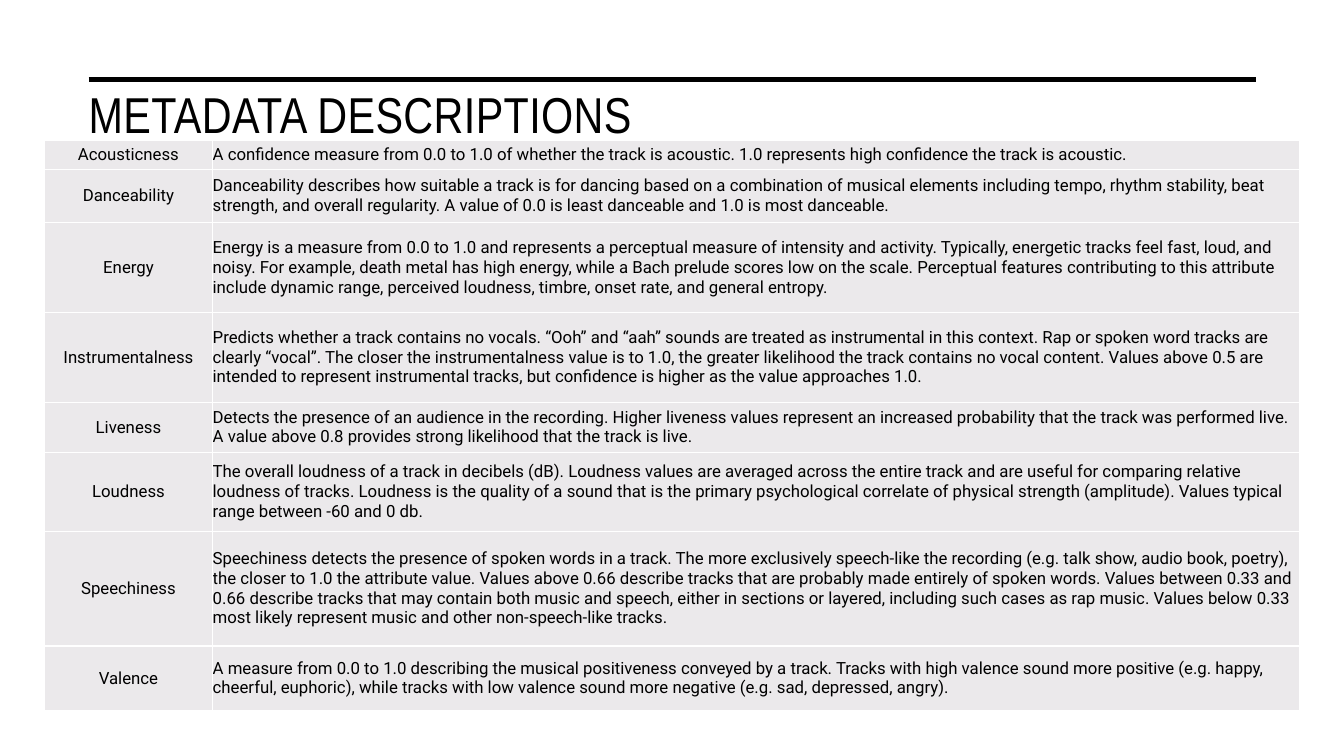
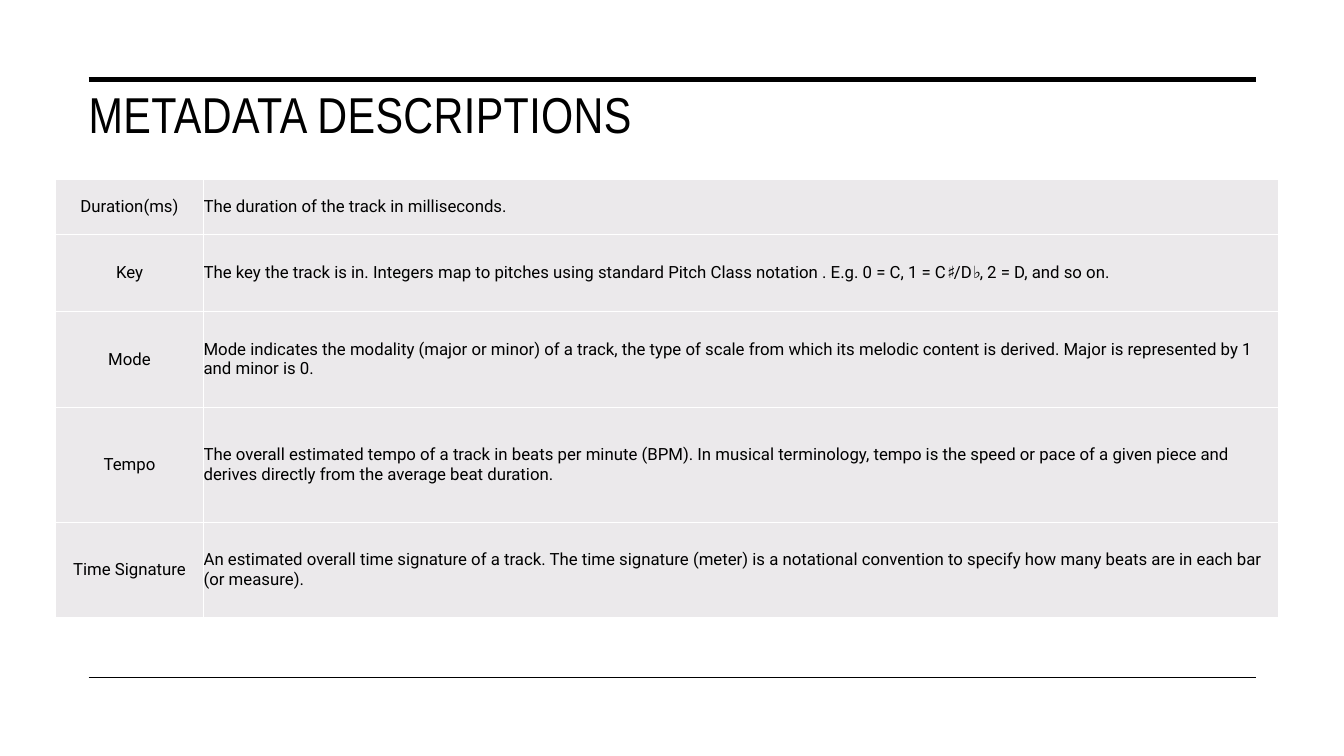
import dataclasses

import lxml.etree
import pptx
import pptx.dml.color
import pptx.enum.shapes
import pptx.enum.text
import pptx.oxml
import pptx.oxml.ns
import pptx.util

ALIGN = pptx.enum.text.PP_ALIGN
ANCHOR = pptx.enum.text.MSO_ANCHOR
QN = pptx.oxml.ns.qn


@dataclasses.dataclass(frozen=True)
class Theme:
    ink: str = "000000"
    cell: str = "EBE9EB"
    border: str = "FFFFFF"
    title_font: str = "Arial Narrow"
    title_size: float = 36
    title_spacing: float = 0.3
    body_font: str = "Roboto"
    body_size: float = 12
    top_rule: float = 3.5
    bottom_rule: float = 1
    border_width: float = 1


def colour(value):
    return pptx.dml.color.RGBColor.from_string(value)


def apply_formats(target, formats):
    for name, value in formats.items():
        setattr(target, name, value)


class Deck:
    """Holds the theme and the current page; lengths are steps of a 0.1 inch grid."""

    STEP = pptx.util.Inches(0.1)
    COLUMNS, ROWS = 133.33, 75
    LEFT, RIGHT = 8.8, 124.6
    RULE_TOP, RULE_BOTTOM = 7.9, 67.2

    def __init__(self, theme):
        self.theme = theme
        self.deck = pptx.Presentation()
        apply_formats(self.deck, {"slide_width": self.grid(self.COLUMNS),
                                  "slide_height": self.grid(self.ROWS)})
        self.page = None

    def grid(self, steps):
        return pptx.util.Emu(round(steps * self.STEP))

    def new_page(self, title):
        self.page = self.deck.slides.add_slide(self.deck.slide_layouts[6])
        self.rule(self.RULE_TOP, self.theme.top_rule)
        self.rule(self.RULE_BOTTOM, self.theme.bottom_rule)
        self.title(title)

    def rule(self, row, width):
        """Draws a horizontal line between the page margins."""
        y = self.grid(row)
        line = self.page.shapes.add_connector(
            pptx.enum.shapes.MSO_CONNECTOR.STRAIGHT,
            self.grid(self.LEFT), y, self.grid(self.RIGHT), y)
        line.line.color.rgb = colour(self.theme.ink)
        line.line.width = pptx.util.Pt(width)
        lxml.etree.SubElement(line._element.spPr, QN("a:effectLst"))

    def add_text(self, frame, text, font, size, align=ALIGN.LEFT):
        para = frame.paragraphs[0]
        para.alignment = align
        span = para.add_run()
        span.text = text
        apply_formats(span.font, {"name": font, "size": pptx.util.Pt(size)})
        span.font.color.rgb = colour(self.theme.ink)
        return span

    def title(self, text):
        box = self.page.shapes.add_textbox(
            *map(self.grid, (7.8, 7.8, 116.8, 6.2)))
        apply_formats(box.text_frame,
                      {"word_wrap": True, "vertical_anchor": ANCHOR.TOP})
        span = self.add_text(box.text_frame, text,
                             self.theme.title_font, self.theme.title_size)
        span.font._element.set("spc", str(round(self.theme.title_spacing * 100)))

    def table(self, left, top, widths, entries):
        """Draws (row height, term, description) entries as a two-column table."""
        heights = [height for height, _, _ in entries]
        table = self.page.shapes.add_table(
            len(entries), len(widths), self.grid(left), self.grid(top),
            self.grid(sum(widths)), self.grid(sum(heights))).table
        apply_formats(table, {"first_row": False, "horz_banding": False})
        for column, width in zip(table.columns, widths):
            column.width = self.grid(width)
        for row, (height, term, description) in zip(table.rows, entries):
            row.height = self.grid(height)
            self.cell(row.cells[0], term, ALIGN.CENTER)
            self.cell(row.cells[1], description, ALIGN.LEFT)

    def cell(self, cell, text, align):
        apply_formats(cell, {"margin_left": 0, "margin_right": 0, "margin_top": 0,
                             "margin_bottom": 0, "vertical_anchor": ANCHOR.MIDDLE})
        self.add_text(cell.text_frame, text,
                      self.theme.body_font, self.theme.body_size, align)
        self.borders(cell)
        cell.fill.solid()
        cell.fill.fore_color.rgb = colour(self.theme.cell)

    def borders(self, cell):
        properties = cell._tc.get_or_add_tcPr()
        width = str(pptx.util.Pt(self.theme.border_width))
        for side in ("a:lnL", "a:lnR", "a:lnT", "a:lnB"):
            line = lxml.etree.SubElement(properties, QN(side), w=width)
            fill = lxml.etree.SubElement(line, QN("a:solidFill"))
            lxml.etree.SubElement(fill, QN("a:srgbClr"), val=self.theme.border)


TITLE = "METADATA DESCRIPTIONS"

AUDIO_FEATURES = [
    (2.9, "Acousticness",
     "A confidence measure from 0.0 to 1.0 of whether the track is acoustic. "
     "1.0 represents high confidence the track is acoustic."),
    (5.3, "Danceability",
     "Danceability describes how suitable a track is for dancing based on a "
     "combination of musical elements including tempo, rhythm stability, beat "
     "strength, and overall regularity. A value of 0.0 is least danceable and "
     "1.0 is most danceable."),
    (8.9, "Energy",
     "Energy is a measure from 0.0 to 1.0 and represents a perceptual measure of "
     "intensity and activity. Typically, energetic tracks feel fast, loud, and "
     "noisy. For example, death metal has high energy, while a Bach prelude "
     "scores low on the scale. Perceptual features contributing to this attribute "
     "include dynamic range, perceived loudness, timbre, onset rate, and general "
     "entropy."),
    (8.9, "Instrumentalness",
     "Predicts whether a track contains no vocals. “Ooh” and “aah” sounds are "
     "treated as instrumental in this context. Rap or spoken word tracks are "
     "clearly “vocal”. The closer the instrumentalness value is to 1.0, the "
     "greater likelihood the track contains no vocal content. Values above 0.5 "
     "are intended to represent instrumental tracks, but confidence is higher as "
     "the value approaches 1.0."),
    (5, "Liveness",
     "Detects the presence of an audience in the recording. Higher liveness "
     "values represent an increased probability that the track was performed "
     "live. A value above 0.8 provides strong likelihood that the track is live."),
    (7.8, "Loudness",
     "The overall loudness of a track in decibels (dB). Loudness values are "
     "averaged across the entire track and are useful for comparing relative "
     "loudness of tracks. Loudness is the quality of a sound that is the primary "
     "psychological correlate of physical strength (amplitude). Values typical "
     "range between -60 and 0 db."),
    (11.4, "Speechiness",
     "Speechiness detects the presence of spoken words in a track. The more "
     "exclusively speech-like the recording (e.g. talk show, audio book, poetry), "
     "the closer to 1.0 the attribute value. Values above 0.66 describe tracks "
     "that are probably made entirely of spoken words. Values between 0.33 and "
     "0.66 describe tracks that may contain both music and speech, either in "
     "sections or layered, including such cases as rap music. Values below 0.33 "
     "most likely represent music and other non-speech-like tracks."),
    (6.4, "Valence",
     "A measure from 0.0 to 1.0 describing the musical positiveness conveyed by a "
     "track. Tracks with high valence sound more positive (e.g. happy, cheerful, "
     "euphoric), while tracks with low valence sound more negative (e.g. sad, "
     "depressed, angry)."),
]

TRACK_PROPERTIES = [
    (5.5, "Duration(ms)", "The duration of the track in milliseconds."),
    (7.6, "Key",
     "The key the track is in. Integers map to pitches using standard Pitch Class "
     "notation . E.g. 0 = C, 1 = C♯/D♭, 2 = D, and so on."),
    (9.5, "Mode",
     "Mode indicates the modality (major or minor) of a track, the type of scale "
     "from which its melodic content is derived. Major is represented by 1 and "
     "minor is 0."),
    (11.4, "Tempo",
     "The overall estimated tempo of a track in beats per minute (BPM). In musical "
     "terminology, tempo is the speed or pace of a given piece and derives "
     "directly from the average beat duration."),
    (9.5, "Time Signature",
     "An estimated overall time signature of a track. The time signature (meter) "
     "is a notational convention to specify how many beats are in each bar (or "
     "measure)."),
]


def main():
    show = Deck(Theme())
    show.new_page(TITLE)
    show.table(4.4, 13.9, (16.7, 107.8), AUDIO_FEATURES)
    show.new_page(TITLE)
    show.table(5.5, 17.8, (14.7, 106.6), TRACK_PROPERTIES)
    show.deck.save("out.pptx")


if __name__ == "__main__":
    main()
